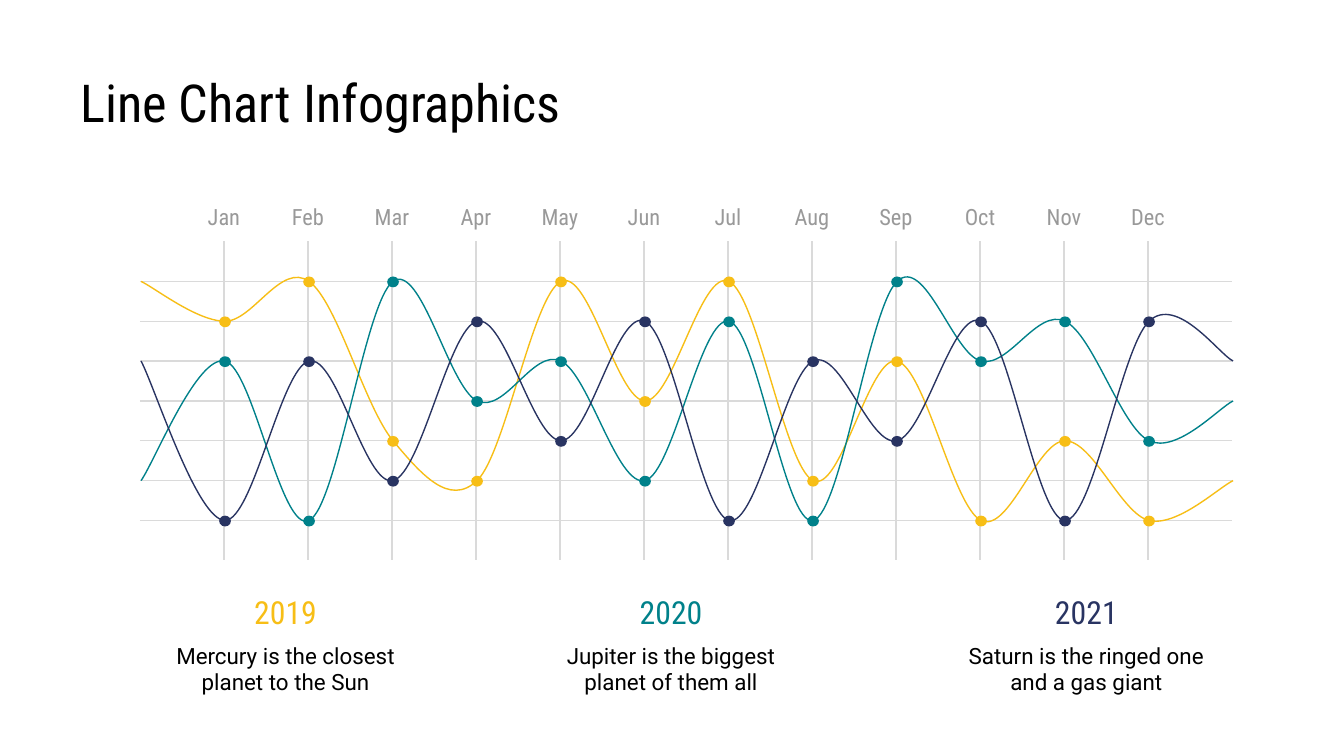
from lxml import etree
from pptx import Presentation
from pptx.dml.color import RGBColor
from pptx.enum.shapes import MSO_CONNECTOR, MSO_SHAPE
from pptx.enum.text import MSO_ANCHOR as ANCHOR, PP_ALIGN as ALIGN
from pptx.oxml.ns import qn
from pptx.util import Pt

HEADING_FONT, BODY_FONT = "Roboto Condensed", "Roboto"
BLACK, GRAY, GRID = "000000", "999999", "DADADA"
YELLOW, TEAL, NAVY = "F7BE16", "00818A", "293462"
MONTHS = "Jan Feb Mar Apr May Jun Jul Aug Sep Oct Nov Dec".split()
ROWS = 7

# Row of the grid, counted from the top, at the left edge, each month and the right edge
SERIES = [
    (YELLOW, [0, 1, 0, 4, 5, 0, 3, 0, 5, 2, 6, 4, 6, 5]),
    (TEAL, [5, 2, 6, 0, 3, 2, 5, 1, 6, 0, 2, 1, 4, 3]),
    (NAVY, [2, 6, 2, 5, 1, 4, 1, 6, 2, 4, 1, 6, 1, 2]),
]
CAPTIONS = [
    (75, "2019", YELLOW, "Mercury is the closest planet to the Sun"),
    (281.5, "2020", TEAL, "Jupiter is the biggest planet of them all"),
    (504, "2021", NAVY, "Saturn is the ringed one and a gas giant"),
]


def rgb(hex_color):
    return RGBColor.from_string(hex_color)


def add_text(slide, text, left, top, width, height, *, size, color=BLACK,
             font=HEADING_FONT, align=ALIGN.CENTER, anchor=ANCHOR.MIDDLE):
    frame = slide.shapes.add_textbox(Pt(left), Pt(top), Pt(width), Pt(height)).text_frame
    frame.word_wrap = True
    frame.vertical_anchor = anchor
    frame.margin_left = frame.margin_right = Pt(7.2)
    frame.margin_top = frame.margin_bottom = Pt(7.2)
    paragraph = frame.paragraphs[0]
    paragraph.text = text
    paragraph.alignment = align
    paragraph.font.name = font
    paragraph.font.size = Pt(size)
    paragraph.font.color.rgb = rgb(color)


def add_line(slide, x1, y1, x2, y2):
    line = slide.shapes.add_connector(
        MSO_CONNECTOR.STRAIGHT, Pt(x1), Pt(y1), Pt(x2), Pt(y2))
    line.line.color.rgb = rgb(GRID)
    line.line.width = Pt(0.75)
    etree.SubElement(line._element.spPr, qn("a:effectLst"))


def round_segments(curve):
    """Turn the straight segments into a Catmull-Rom spline of cubic Béziers."""
    nodes = list(curve._element.iter(qn("a:pt")))
    points = [(int(node.get("x")), int(node.get("y"))) for node in nodes]
    padded = [points[0], *points, points[-1]]
    segments = list(curve._element.iter(qn("a:lnTo")))
    for segment, before, start, end, after in zip(
            segments, padded, padded[1:], padded[2:], padded[3:]):
        leave = [s + (e - b) / 6 for b, s, e in zip(before, start, end)]
        arrive = [e - (a - s) / 6 for s, e, a in zip(start, end, after)]
        bezier = etree.Element(qn("a:cubicBezTo"))
        for x, y in (leave, arrive, end):
            etree.SubElement(bezier, qn("a:pt"), x=str(round(x)), y=str(round(y)))
        segment.getparent().replace(segment, bezier)


def add_curve(slide, points, color):
    start, *rest = [(Pt(x), Pt(y)) for x, y in points]
    builder = slide.shapes.build_freeform(*start)
    builder.add_line_segments(rest, close=False)
    curve = builder.convert_to_shape()
    round_segments(curve)
    curve.shadow.inherit = False
    curve.fill.background()
    curve.line.color.rgb = rgb(color)
    curve.line.width = Pt(0.75)


def add_dot(slide, x, y, color, width=6.3, height=5.8):
    dot = slide.shapes.add_shape(
        MSO_SHAPE.OVAL, Pt(x - width / 2), Pt(y - height / 2), Pt(width), Pt(height))
    dot.shadow.inherit = False
    dot.fill.solid()
    dot.fill.fore_color.rgb = rgb(color)
    dot.line.fill.background()


def add_line_chart(slide, left, top, width, height):
    column_step = width / (len(MONTHS) + 1)
    row_step = height / (ROWS + 1)
    for row in range(1, ROWS + 1):
        y = top + row * row_step
        add_line(slide, left, y, left + width, y)
    for column, month in enumerate(MONTHS, 1):
        x = left + column * column_step
        add_line(slide, x, top, x, top + height)
        add_text(slide, month, x - 20.5, top - 20.7, 41, 15, size=12, color=GRAY)
    for color, rows in SERIES:
        points = [(left + 0.6 + column * column_step, top + (row + 1) * row_step)
                  for column, row in enumerate(rows)]
        add_curve(slide, points, color)
        for x, y in points[1:-1]:
            add_dot(slide, x, y + 0.3, color)


def add_caption(slide, left, top, width, year, color, description):
    add_text(slide, year, left, top, width, 22.3, size=17, color=color)
    add_text(slide, description, left, top + 26.6, width, 29.5, size=12, font=BODY_FONT)


def main():
    presentation = Presentation()
    presentation.slide_width, presentation.slide_height = Pt(720), Pt(405)
    slide = presentation.slides.add_slide(presentation.slide_layouts[6])
    add_text(slide, "Line Chart Infographics", 36, 30.4, 648, 45, size=28,
             align=ALIGN.LEFT, anchor=ANCHOR.TOP)
    add_line_chart(slide, 75, 129.4, 585, 170.8)
    for left, year, color, description in CAPTIONS:
        add_caption(slide, left, 316.8, 156, year, color, description)
    presentation.save("out.pptx")


if __name__ == "__main__":
    main()
